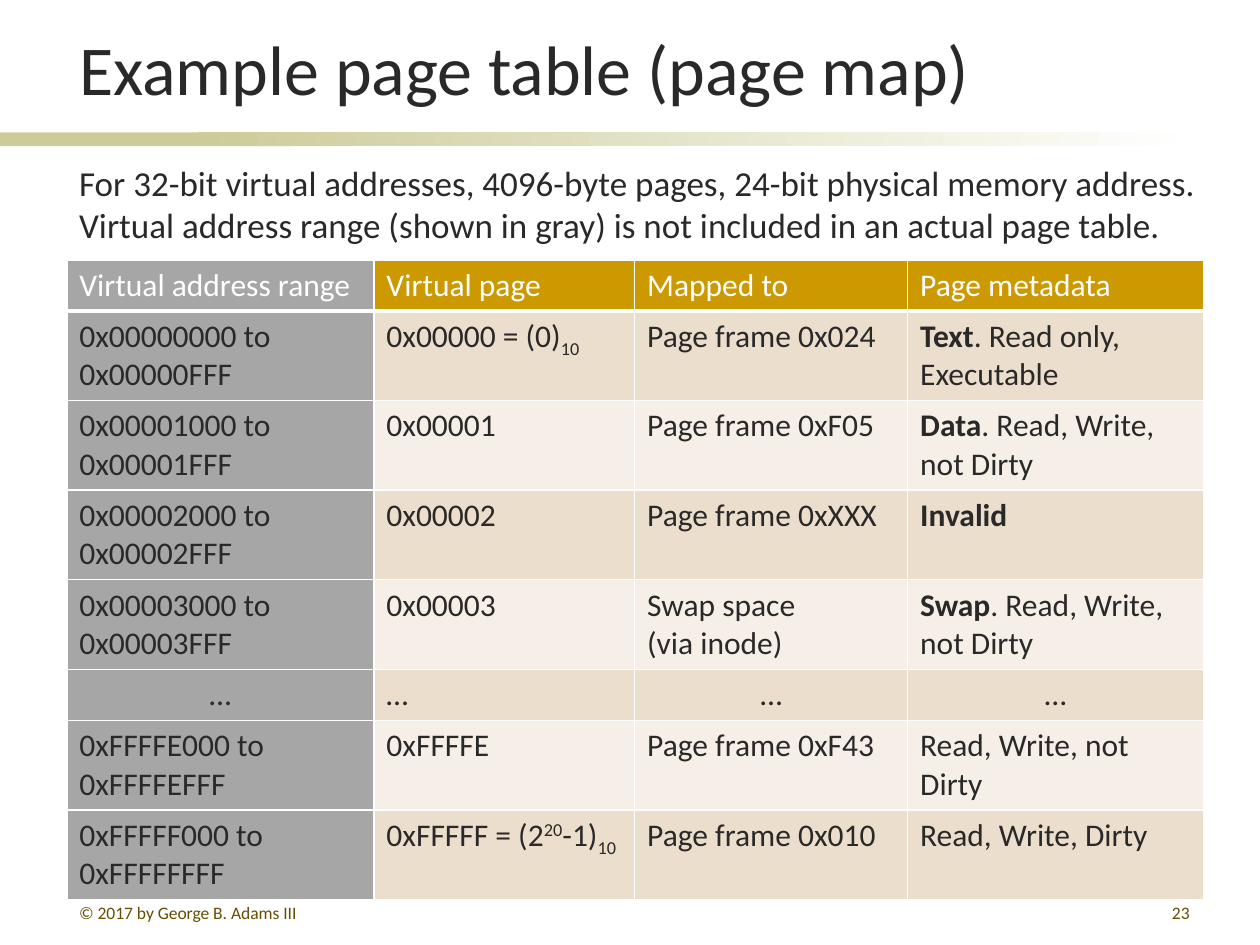
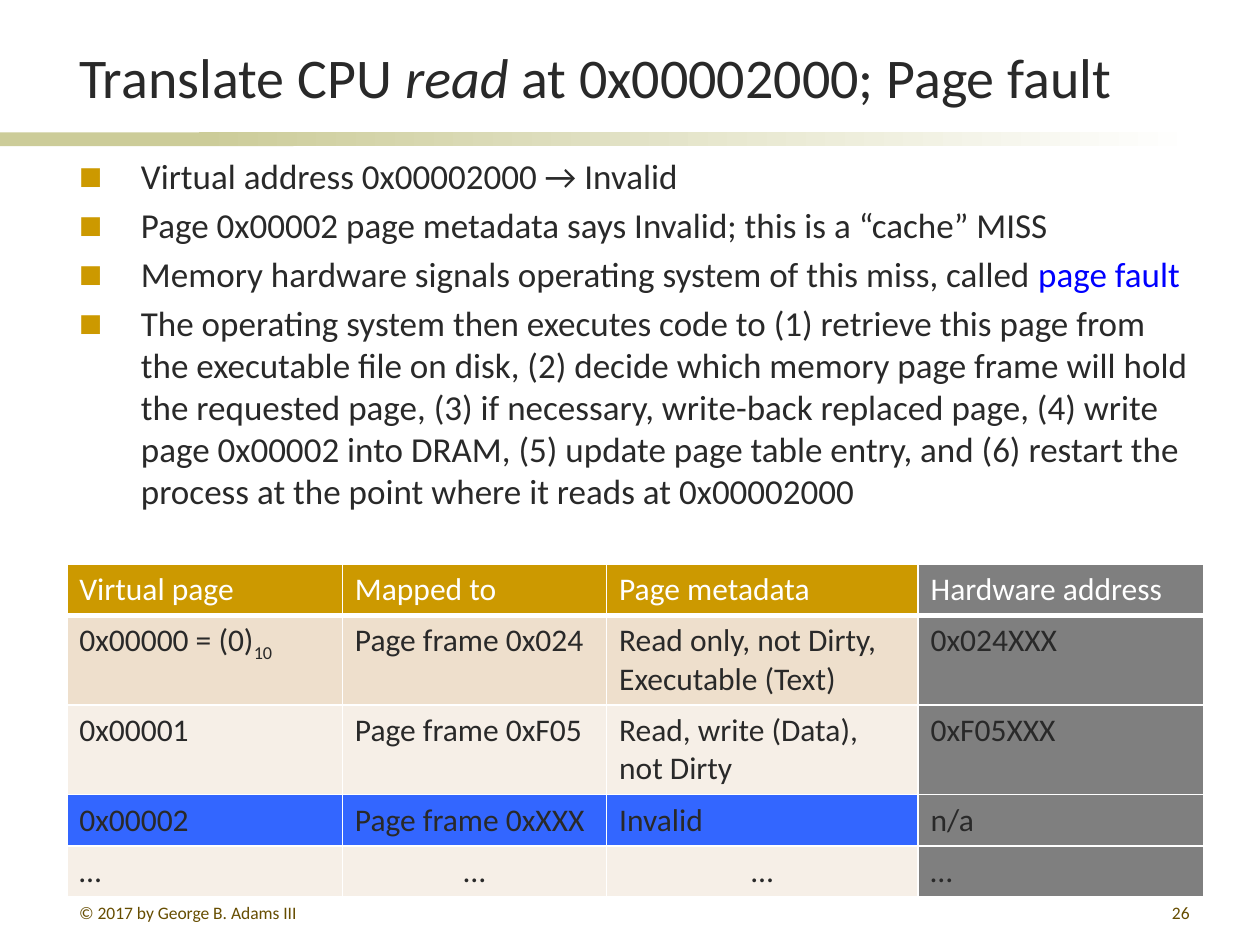
from dataclasses import dataclass
from typing import Optional, Union

from lxml.etree import SubElement
from pptx import Presentation
from pptx.dml.color import RGBColor
from pptx.enum.text import MSO_ANCHOR, PP_ALIGN
from pptx.enum.shapes import MSO_SHAPE
from pptx.oxml.ns import qn
from pptx.util import Pt

# Shared style
FONT = "Calibri"
INK = RGBColor(0x29, 0x29, 0x29)
WHITE = RGBColor(0xFF, 0xFF, 0xFF)
OLIVE = RGBColor(0xCC, 0xCC, 0x99)
GOLD = RGBColor(0xCC, 0x99, 0x00)
FOOTER_BROWN = RGBColor(0x66, 0x4D, 0x00)
TERM_BLUE = RGBColor(0x00, 0x00, 0xFF)
FAULT_BLUE = RGBColor(0x33, 0x66, 0xFF)
LIGHT_GRAY = RGBColor(0xA6, 0xA6, 0xA6)
DARK_GRAY = RGBColor(0x7F, 0x7F, 0x7F)
MAP_BAND = RGBColor(0xEC, 0xDE, 0xCC)
FAULT_BAND = RGBColor(0xEE, 0xDF, 0xCC)
PALE_BAND = RGBColor(0xF6, 0xEF, 0xE7)

LEFT = 38.16
CONTENT_WIDTH = 649.5
ONE_LINE, TWO_LINES = 29.2, 51.2  # table row heights


@dataclass(frozen=True)
class Run:
    text: str
    bold: bool = False
    italic: bool = False
    baseline: int = 0  # percent
    color: Optional[RGBColor] = None


@dataclass(frozen=True)
class Line:
    runs: tuple[Run, ...]
    centered: bool = False


Content = Union[str, Line]


@dataclass(frozen=True)
class PageTable:
    top: float
    columns: list[float]
    heights: list[float]
    rows: list[list[Content]]
    band: RGBColor
    gray_column: int
    gray: RGBColor
    fault_row: Optional[int] = None


@dataclass(frozen=True)
class Box:
    left: float
    top: float
    width: float
    height: float


def line(*runs: Union[str, Run], centered: bool = False) -> Line:
    return Line(tuple(Run(r) if isinstance(r, str) else r for r in runs), centered)


def write(paragraph, content: Content, size: float, color: RGBColor) -> None:
    """Fill a paragraph run by run; a newline becomes a line break."""
    content = line(content) if isinstance(content, str) else content
    if content.centered:
        paragraph.alignment = PP_ALIGN.CENTER
    for part in content.runs:
        for index, piece in enumerate(part.text.split("\n")):
            if index:
                paragraph.add_line_break()
            run = paragraph.add_run()
            run.text = piece
            run.font.name, run.font.size = FONT, Pt(size)
            run.font.bold, run.font.italic = part.bold, part.italic
            run.font.color.rgb = part.color or color
            if part.baseline:
                run.font._element.set("baseline", str(part.baseline * 1000))


def add_text(slide, box: Box, contents: list[Content], size: float,
             color: RGBColor = INK, anchor=MSO_ANCHOR.TOP, wrap: bool = True):
    frame = slide.shapes.add_textbox(
        Pt(box.left), Pt(box.top), Pt(box.width), Pt(box.height)).text_frame
    frame.word_wrap = wrap
    frame.vertical_anchor = anchor
    for index, content in enumerate(contents):
        paragraph = frame.add_paragraph() if index else frame.paragraphs[0]
        write(paragraph, content, size, color)
    return frame


def add_band(slide, left: float, width: float, fading: bool) -> None:
    band = slide.shapes.add_shape(
        MSO_SHAPE.RECTANGLE, Pt(left), Pt(75.6), Pt(width), Pt(7.92))
    band.shadow.inherit = False
    band.line.fill.background()
    if fading:
        band.fill.gradient()
        band.fill.gradient_angle = 0
        for stop, color in zip(band.fill.gradient_stops, (OLIVE, WHITE)):
            stop.color.rgb = color
    else:
        band.fill.solid()
        band.fill.fore_color.rgb = OLIVE


def add_page(deck, title: Content, title_size: float, number: str):
    """Start a slide with its title, title rule and footer."""
    slide = deck.slides.add_slide(deck.slide_layouts[6])
    add_band(slide, 0, 167.76, fading=False)
    add_band(slide, 113.76, 570.24, fading=True)
    add_text(slide, Box(LEFT, 7.92, CONTENT_WIDTH, 58.32), [title], title_size,
             anchor=MSO_ANCHOR.BOTTOM)
    add_text(slide, Box(LEFT, 511.92, 156.24, 15.12),
             ["© 2017 by George B. Adams III"], 10, FOOTER_BROWN)
    page_number = add_text(slide, Box(537.12, 511.92, 149.76, 15.12),
                           [number], 10, FOOTER_BROWN)
    page_number.paragraphs[0].alignment = PP_ALIGN.RIGHT
    return slide


def add_bullet(paragraph) -> None:
    properties = paragraph._p.get_or_add_pPr()
    properties.set("marL", str(Pt(35.28)))
    properties.set("indent", str(-Pt(35.28)))
    color = SubElement(properties, qn("a:buClr"))
    SubElement(color, qn("a:srgbClr"), val=str(GOLD))
    SubElement(properties, qn("a:buSzPct"), val="70000")
    SubElement(properties, qn("a:buFont"), typeface=FONT)
    SubElement(properties, qn("a:buChar"), char="■")


def set_borders(cell, header: bool) -> None:
    properties = cell._tc.get_or_add_tcPr()
    for side in ("lnL", "lnR", "lnT", "lnB"):
        weight = 3 if header and side == "lnB" else 1
        border = SubElement(properties, qn(f"a:{side}"), w=str(Pt(weight)))
        fill = SubElement(border, qn("a:solidFill"))
        SubElement(fill, qn("a:srgbClr"), val=str(WHITE))


def cell_color(spec_table: PageTable, row: int, column: int) -> RGBColor:
    if column == spec_table.gray_column:
        return spec_table.gray
    if row == 0:
        return GOLD
    if row == spec_table.fault_row:
        return FAULT_BLUE
    return spec_table.band if row % 2 else PALE_BAND


def add_page_table(slide, page_table: PageTable) -> None:
    table = slide.shapes.add_table(
        len(page_table.rows), len(page_table.columns), Pt(LEFT), Pt(page_table.top),
        Pt(sum(page_table.columns)), Pt(sum(page_table.heights))).table
    for column, width in zip(table.columns, page_table.columns):
        column.width = Pt(width)
    for row, height in zip(table.rows, page_table.heights):
        row.height = Pt(height)
    for r, contents in enumerate(page_table.rows):
        for c, content in enumerate(contents):
            cell = table.cell(r, c)
            set_borders(cell, header=r == 0)
            cell.fill.solid()
            cell.fill.fore_color.rgb = cell_color(page_table, r, c)
            write(cell.text_frame.paragraphs[0], content, 18, INK if r else WHITE)


# Entries that both tables use
DECIMAL = Run("10", baseline=-25)
PAGE_ZERO = line("0x00000 = (0)", DECIMAL)
DOTS = line("…", centered=True)

PAGE_MAP = PageTable(
    top=148.5,
    columns=[175.5, 149, 156, 169],
    heights=[ONE_LINE, *[TWO_LINES] * 4, ONE_LINE, *[TWO_LINES] * 2],
    rows=[
        ["Virtual address range", "Virtual page", "Mapped to", "Page metadata"],
        ["0x00000000 to 0x00000FFF", PAGE_ZERO, "Page frame 0x024",
         line(Run("Text", bold=True), ". Read only, Executable")],
        ["0x00001000 to 0x00001FFF", "0x00001", "Page frame 0xF05",
         line(Run("Data", bold=True), ". Read, Write, not Dirty")],
        ["0x00002000 to 0x00002FFF", "0x00002", "Page frame 0xXXX",
         line(Run("Invalid", bold=True))],
        ["0x00003000 to 0x00003FFF", "0x00003", "Swap space\n(via inode)",
         line(Run("Swap", bold=True), ". Read, Write, not Dirty")],
        [DOTS, "…", DOTS, DOTS],
        ["0xFFFFE000 to 0xFFFFEFFF", "0xFFFFE", "Page frame 0xF43",
         "Read, Write, not Dirty"],
        ["0xFFFFF000 to 0xFFFFFFFF",
         line("0xFFFFF = (2", Run("20", baseline=30), "-1)", DECIMAL),
         "Page frame 0x010", "Read, Write, Dirty"],
    ],
    band=MAP_BAND, gray_column=0, gray=LIGHT_GRAY,
)

FAULT_TABLE = PageTable(
    top=322.56,
    columns=[157.5, 151, 178, 163],
    heights=[ONE_LINE, TWO_LINES, TWO_LINES, ONE_LINE, ONE_LINE],
    rows=[
        ["Virtual page", "Mapped to", "Page metadata", "Hardware address"],
        [PAGE_ZERO, "Page frame 0x024", "Read only, not Dirty, Executable (Text)",
         "0x024XXX"],
        ["0x00001", "Page frame 0xF05", "Read, write (Data), not Dirty", "0xF05XXX"],
        ["0x00002", "Page frame 0xXXX", "Invalid", "n/a"],
        ["…", DOTS, DOTS, "…"],
    ],
    band=FAULT_BAND, gray_column=3, gray=DARK_GRAY, fault_row=3,
)

FAULT_STEPS: list[Content] = [
    "Virtual address 0x00002000 → Invalid",
    "Page 0x00002 page metadata says Invalid; this is a “cache” MISS",
    line("Memory hardware signals operating system of this miss, called",
         Run(" page fault", color=TERM_BLUE)),
    "The operating system then executes code to (1) retrieve this page from the "
    "executable file on disk, (2) decide which memory page frame will hold the "
    "requested page, (3) if necessary, write-back replaced page, (4) write page "
    "0x00002 into DRAM, (5) update page table entry, and (6) restart the process "
    "at the point where it reads at 0x00002000",
]


def build_page_map(deck) -> None:
    slide = add_page(deck, "Example page table (page map)", 40, "23")
    add_page_table(slide, PAGE_MAP)
    add_text(slide, Box(LEFT, 88.56, 659.52, 55.44), [
        "For 32-bit virtual addresses, 4096-byte pages, 24-bit physical memory address.",
        "Virtual address range (shown in gray) is not included in an actual page table.",
    ], 20, wrap=False)


def build_page_fault(deck) -> None:
    title = line("Translate CPU ", Run("read ", italic=True),
                 "at 0x00002000; Page fault")
    slide = add_page(deck, title, 32, "26")
    steps = add_text(slide, Box(LEFT, 84.96, CONTENT_WIDTH, 230), FAULT_STEPS, 20)
    for index, paragraph in enumerate(steps.paragraphs):
        add_bullet(paragraph)
        if index:
            paragraph.space_before = Pt(4)
    add_page_table(slide, FAULT_TABLE)


def main() -> None:
    deck = Presentation()
    deck.slide_width, deck.slide_height = Pt(720), Pt(540)
    build_page_map(deck)
    build_page_fault(deck)
    deck.save("out.pptx")


if __name__ == "__main__":
    main()
